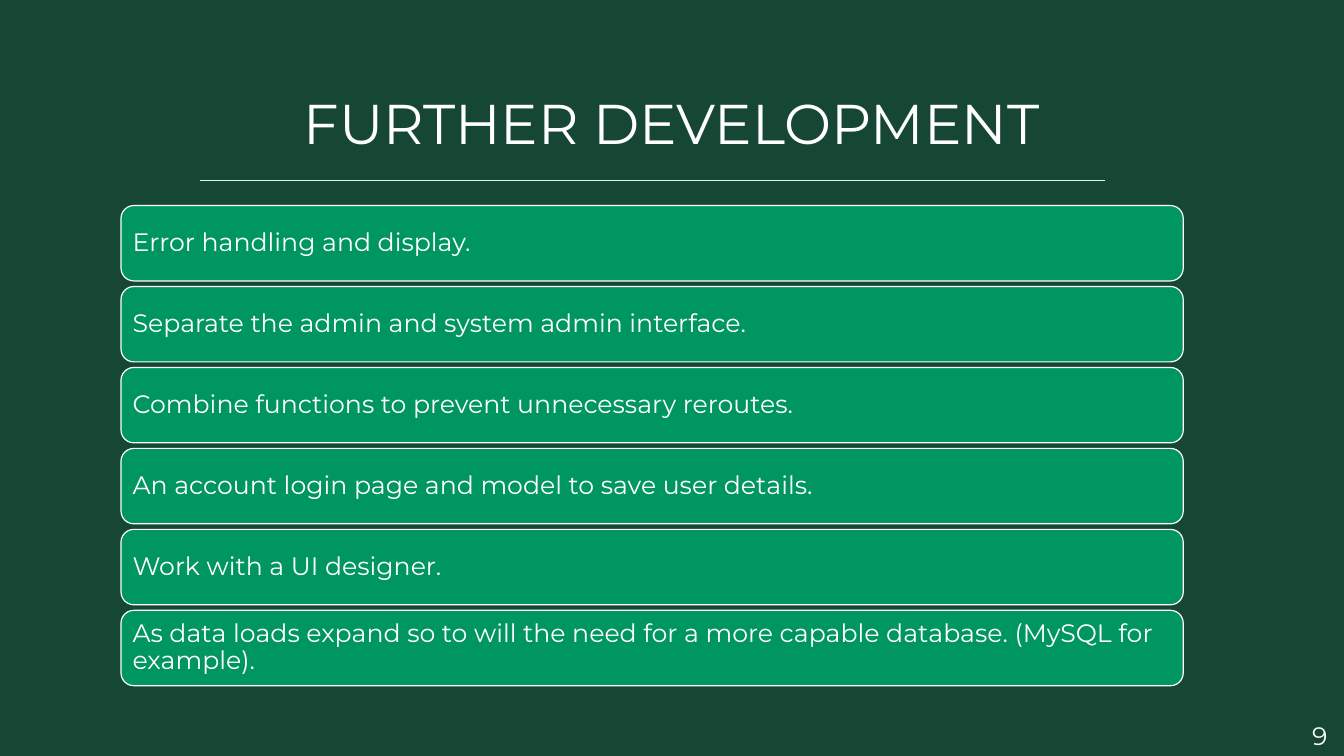
"""Build the slide of planned further development as a stack of cards."""
import dataclasses

import pptx
import pptx.dml.color
import pptx.enum.shapes
import pptx.enum.text
import pptx.oxml.ns
import pptx.util
import lxml.etree

Cm = pptx.util.Cm
Pt = pptx.util.Pt
Align = pptx.enum.text.PP_ALIGN
Anchor = pptx.enum.text.MSO_ANCHOR


@dataclasses.dataclass
class Theme:
    """Colours, font and type sizes of the slide."""
    back: str = "164734"
    card: str = "00965F"
    rule: str = "D2F9D9"
    ink: str = "FFFFFF"
    font: str = "Montserrat"
    head: int = 40
    body: int = 18


class Deck:
    """Draw styled elements on the current slide."""

    def __init__(self, theme):
        """Open a wide deck with one title-only slide."""
        self.theme = theme
        self.deck = pptx.Presentation()
        self.deck.slide_width = Cm(33.87)
        self.deck.slide_height = Cm(19.05)
        self.slide = self.deck.slides.add_slide(self.deck.slide_layouts[5])
        self.paint(self.slide.background.fill, theme.back)

    def paint(self, fill, tint):
        """Give a fill one solid colour."""
        fill.solid()
        fill.fore_color.rgb = pptx.dml.color.RGBColor.from_string(tint)

    def text(self, frame, words, size, align=Align.LEFT):
        """Add a styled run to the first paragraph and return that paragraph."""
        para = frame.paragraphs[0]
        para.alignment = align
        run = para.add_run()
        run.text = words
        run.font.name = self.theme.font
        run.font.size = Pt(size)
        self.paint(run.font.fill, self.theme.ink)
        return para

    def title(self, words, left, top, width, height):
        """Move and fill the title placeholder."""
        shape = self.slide.shapes.title
        shape.left, shape.top = Cm(left), Cm(top)
        shape.width, shape.height = Cm(width), Cm(height)
        frame = shape.text_frame
        frame.auto_size = pptx.enum.text.MSO_AUTO_SIZE.NONE
        frame.vertical_anchor = Anchor.BOTTOM
        para = self.text(frame, words, self.theme.head, Align.CENTER)
        para.space_after = Pt(6)

    def rule(self, left, right, top):
        """Draw a thin level line."""
        line = self.slide.shapes.add_connector(
            pptx.enum.shapes.MSO_CONNECTOR.STRAIGHT,
            Cm(left), Cm(top), Cm(right), Cm(top))
        self.paint(line.line.fill, self.theme.rule)
        line.line.width = Pt(0.75)
        lxml.etree.SubElement(line._element.spPr,
                              pptx.oxml.ns.qn("a:effectLst"))

    def card(self, words, left, top, width, height):
        """Draw a rounded card with its text."""
        shape = self.slide.shapes.add_shape(
            pptx.enum.shapes.MSO_SHAPE.ROUNDED_RECTANGLE,
            Cm(left), Cm(top), Cm(width), Cm(height))
        shape.adjustments[0] = 0.17
        shape.shadow.inherit = False
        self.paint(shape.fill, self.theme.card)
        self.paint(shape.line.fill, self.theme.ink)
        shape.line.width = Pt(0.85)
        frame = shape.text_frame
        frame.word_wrap = True
        frame.vertical_anchor = Anchor.MIDDLE
        frame.margin_left = frame.margin_right = Cm(0.2)
        frame.margin_top = frame.margin_bottom = Cm(0.2)
        para = self.text(frame, words, self.theme.body)
        para.line_spacing = 0.9

    def label(self, words, left, top, width, height):
        """Add a small text box."""
        box = self.slide.shapes.add_textbox(
            Cm(left), Cm(top), Cm(width), Cm(height))
        box.text_frame.word_wrap = True
        self.text(box.text_frame, words, self.theme.body)


GOALS = (
    "Error handling and display.",
    "Separate the admin and system admin interface.",
    "Combine functions to prevent unnecessary reroutes.",
    "An account login page and model to save user details.",
    "Work with a UI designer.",
    "As data loads expand so to will the need for a more capable database. "
    "(MySQL for example).",
)


def main():
    """Lay out the slide and save it."""
    deck = Deck(Theme())
    deck.title("FURTHER DEVELOPMENT", 6.88, 1.65, 20.09, 2.41)
    deck.rule(5.03, 27.84, 4.55)
    for row, goal in enumerate(GOALS):
        deck.card(goal, 3.05, 5.18 + 2.04 * row, 26.77, 1.9)
    deck.label("9", 32.82, 18.03, 1.04, 1.02)
    deck.deck.save("out.pptx")


if __name__ == "__main__":
    main()
